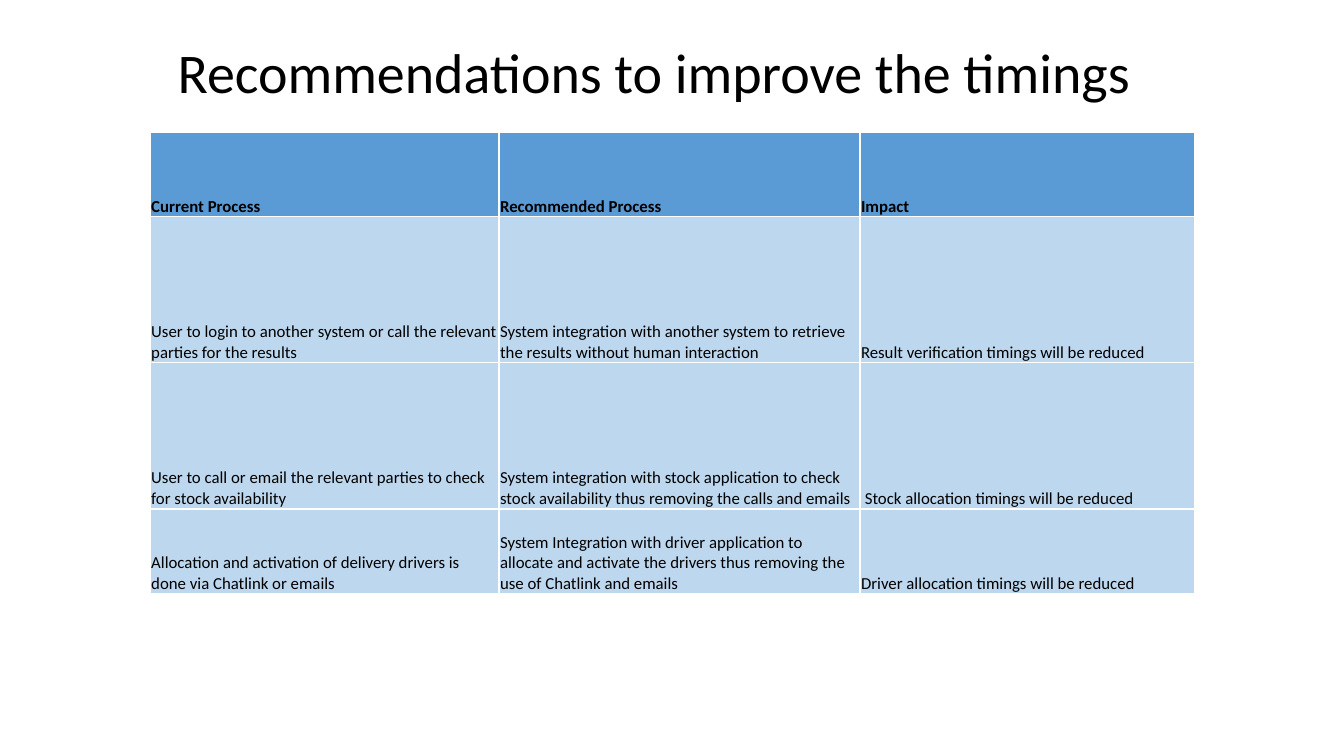
"""Build the slide that lists recommendations to improve the timings."""
import pptx
import pptx.dml.color
import pptx.enum.text
import pptx.oxml
import pptx.oxml.ns
import pptx.util
from pptx.util import Inches

COLUMN_WIDTHS = [3.46, 3.58, 3.32]
ROW_HEIGHTS = [0.84, 1.45, 1.45, 0.84]
RECOMMENDATIONS = [
    ["Current Process", "Recommended Process", "Impact"],
    [
        "User to login to another system or call the relevant parties for the results",
        "System integration with another system to retrieve the results without human interaction",
        "Result verification timings will be reduced",
    ],
    [
        "User to call or email the relevant parties to check for stock availability",
        "System integration with stock application to check stock availability thus removing the calls and emails",
        " Stock allocation timings will be reduced",
    ],
    [
        "Allocation and activation of delivery drivers is done via Chatlink or emails",
        "System Integration with driver application to allocate and activate the drivers "
        "thus removing the use of Chatlink and emails",
        "Driver allocation timings will be reduced",
    ],
]


def color(value):
    return pptx.dml.color.RGBColor.from_string(value)


def apply_format(target, values):
    for name, value in values.items():
        setattr(target, name, value)


class SlideBuilder:
    font_name = "Calibri"
    text_color = "000000"
    header_fill = "5B9BD5"
    body_fill = "BDD7EE"
    border_color = "FFFFFF"
    border_points = 1
    cell_format = {
        "vertical_anchor": pptx.enum.text.MSO_ANCHOR.BOTTOM,
        "margin_left": Inches(0.01),
        "margin_top": Inches(0.01),
        "margin_right": Inches(0.01),
        "margin_bottom": Inches(0),
    }

    def __init__(self, presentation):
        self.slide = presentation.slides.add_slide(presentation.slide_layouts[5])

    def add_text(self, text_frame, text, size, bold=False, **paragraph_format):
        paragraph = text_frame.paragraphs[0]
        apply_format(paragraph, paragraph_format)
        run = paragraph.add_run()
        run.text = text
        apply_format(run.font, {"name": self.font_name, "size": pptx.util.Pt(size), "bold": bold})
        run.font.color.rgb = color(self.text_color)

    def title(self, text, left, top, width, height):
        shape = self.slide.shapes.title
        apply_format(shape, {
            "left": Inches(left), "top": Inches(top),
            "width": Inches(width), "height": Inches(height),
        })
        apply_format(shape.text_frame, {
            "word_wrap": True,
            "auto_size": pptx.enum.text.MSO_AUTO_SIZE.NONE,
            "vertical_anchor": pptx.enum.text.MSO_ANCHOR.MIDDLE,
        })
        self.add_text(shape.text_frame, text, 40,
                      alignment=pptx.enum.text.PP_ALIGN.CENTER, line_spacing=0.9)

    def border(self, cell):
        properties = cell._tc.get_or_add_tcPr()
        for index, side in enumerate(("lnL", "lnR", "lnT", "lnB")):
            line = pptx.oxml.parse_xml(
                f'<a:{side} {pptx.oxml.ns.nsdecls("a")} w="{pptx.util.Pt(self.border_points)}">'
                f'<a:solidFill><a:srgbClr val="{self.border_color}"/></a:solidFill></a:{side}>'
            )
            properties.insert(index, line)

    def table(self, rows, left, top, column_widths, row_heights):
        frame = self.slide.shapes.add_table(
            len(rows), len(column_widths), Inches(left), Inches(top),
            Inches(sum(column_widths)), Inches(sum(row_heights)),
        )
        table = frame.table
        for column, width in zip(table.columns, column_widths):
            column.width = Inches(width)
        for row, height in zip(table.rows, row_heights):
            row.height = Inches(height)
        for row_index, texts in enumerate(rows):
            is_header = row_index == 0
            for column_index, text in enumerate(texts):
                cell = table.cell(row_index, column_index)
                apply_format(cell, self.cell_format)
                cell.fill.solid()
                cell.fill.fore_color.rgb = color(self.header_fill if is_header else self.body_fill)
                self.border(cell)
                self.add_text(cell.text_frame, text, 12, bold=is_header)


def main():
    presentation = pptx.Presentation()
    apply_format(presentation, {"slide_width": Inches(13.33), "slide_height": Inches(7.5)})
    builder = SlideBuilder(presentation)
    builder.title("Recommendations to improve the timings", 0.92, 0.25, 11.13, 0.99)
    builder.table(RECOMMENDATIONS, 1.49, 1.31, COLUMN_WIDTHS, ROW_HEIGHTS)
    presentation.save("out.pptx")


if __name__ == "__main__":
    main()
